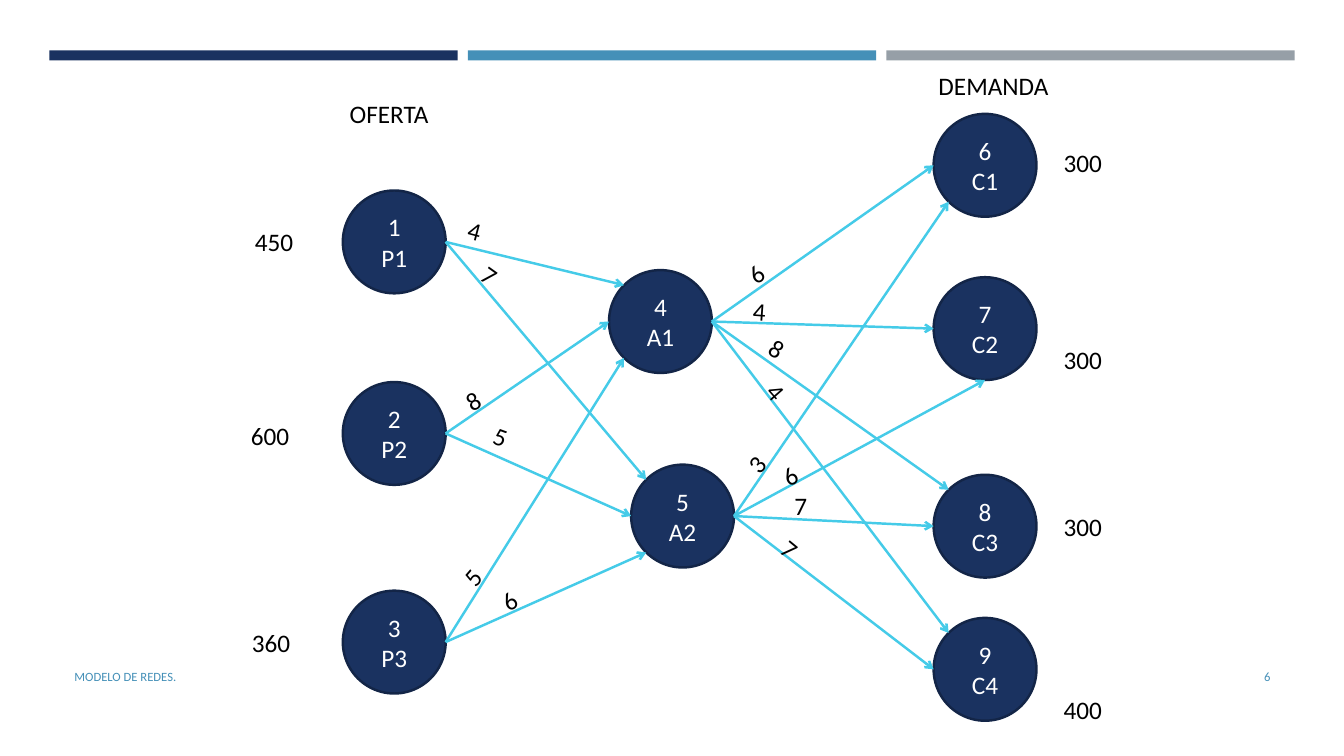
from lxml.etree import SubElement
from pptx import Presentation
from pptx.dml.color import RGBColor
from pptx.enum.shapes import MSO_CONNECTOR, MSO_SHAPE
from pptx.enum.text import MSO_ANCHOR, PP_ALIGN
from pptx.oxml.ns import qn
from pptx.util import Inches, Pt

COLORS = {
    "navy": "1A3260", "outline": "132547", "blue": "4590B8", "gray": "969FA7",
    "cyan": "45CBE8", "black": "000000", "white": "FFFFFF",
}
DIAMETER = 1.02

# Connection sites of an ellipse: index, then position as a fraction of its box
SITES = {
    "top left": (1, 0.146, 0.146),
    "left": (2, 0, 0.5),
    "bottom left": (3, 0.146, 0.854),
    "bottom": (4, 0.5, 1),
    "right": (6, 1, 0.5),
}


def format_text(shape, text, size, color, alignment=PP_ALIGN.LEFT, anchor=MSO_ANCHOR.TOP):
    frame = shape.text_frame
    frame.text = text
    frame.word_wrap = True
    frame.vertical_anchor = anchor
    for paragraph in frame.paragraphs:
        paragraph.alignment = alignment
        for run in paragraph.runs:
            run.font.size = Pt(size)
            run.font.name = "Calibri"
            run.font.color.rgb = RGBColor.from_string(COLORS[color])


presentation = Presentation()
presentation.slide_width = Inches(13.33)
presentation.slide_height = Inches(7.5)
slide = presentation.slides.add_slide(presentation.slide_layouts[6])

# Colour bars across the top
for column, color in enumerate(["navy", "blue", "gray"]):
    bar = slide.shapes.add_shape(
        MSO_SHAPE.RECTANGLE, Inches(0.49 + 4.15 * column), Inches(0.5), Inches(4.05), Inches(0.1))
    bar.shadow.inherit = False
    bar.fill.solid()
    bar.fill.fore_color.rgb = RGBColor.from_string(COLORS[color])
    bar.line.fill.background()

# Footer and page number
for text, left, width, alignment in [
    ("MODELO DE REDES.", 0.64, 7.56, PP_ALIGN.LEFT),
    ("6", 11.55, 1.15, PP_ALIGN.RIGHT),
]:
    footer = slide.shapes.add_textbox(Inches(left), Inches(6.51), Inches(width), Inches(0.4))
    format_text(footer, text, 9, "blue", alignment, MSO_ANCHOR.MIDDLE)

# Network nodes: plants, warehouses and customers
node_positions = {
    "P1": (3.4, 1.89), "P2": (3.4, 3.79), "P3": (3.4, 5.86),
    "A1": (6.04, 2.68), "A2": (6.26, 4.61),
    "C1": (9.26, 1.13), "C2": (9.26, 2.75), "C3": (9.26, 4.71), "C4": (9.26, 6.13),
}
nodes = {}
for number, (name, (left, top)) in enumerate(node_positions.items(), start=1):
    node = slide.shapes.add_shape(
        MSO_SHAPE.OVAL, Inches(left), Inches(top), Inches(DIAMETER), Inches(DIAMETER))
    node.shadow.inherit = False
    node.fill.solid()
    node.fill.fore_color.rgb = RGBColor.from_string(COLORS["navy"])
    node.line.color.rgb = RGBColor.from_string(COLORS["outline"])
    node.line.width = Pt(1.75)
    format_text(node, f"{number}\n{name}", 18, "white", PP_ALIGN.CENTER, MSO_ANCHOR.MIDDLE)
    nodes[name] = node

# Routes: origin, destination and the site where the arrow arrives
routes = [
    ("P1", "A2", "top left"), ("P1", "A1", "top left"),
    ("P2", "A1", "left"), ("P2", "A2", "left"),
    ("P3", "A1", "bottom left"), ("P3", "A2", "bottom left"),
    ("A1", "C1", "left"), ("A1", "C2", "left"),
    ("A1", "C3", "top left"), ("A1", "C4", "top left"),
    ("A2", "C1", "bottom left"), ("A2", "C2", "bottom"),
    ("A2", "C3", "left"), ("A2", "C4", "left"),
]
for origin, destination, arrival in routes:
    ends = [("a:stCxn", origin, "right"), ("a:endCxn", destination, arrival)]
    points = []
    for tag, name, site in ends:
        index, across, down = SITES[site]
        left, top = node_positions[name]
        points += [Inches(left + across * DIAMETER), Inches(top + down * DIAMETER)]
    arrow = slide.shapes.add_connector(MSO_CONNECTOR.STRAIGHT, *points)
    arrow.line.color.rgb = RGBColor.from_string(COLORS["cyan"])
    arrow.line.width = Pt(1.75)
    properties = arrow.element.spPr
    SubElement(properties.find(qn("a:ln")), qn("a:tailEnd"), type="arrow")
    SubElement(properties, qn("a:effectLst"))
    # Ellipses have eight sites, so the joins are written directly
    for tag, name, site in ends:
        SubElement(arrow.element.nvCxnSpPr.cNvCxnSpPr, qn(tag),
                   id=str(nodes[name].shape_id), idx=str(SITES[site][0]))

# Headings, supply, demand and route costs: text, left, top, width, rotation
labels = [
    ("OFERTA", 3.37, 0.93, 1.23, 0),
    ("DEMANDA", 9.21, 0.65, 1.76, 0),
    ("450", 2.43, 2.2, 0.79, 0),
    ("600", 2.39, 4.12, 0.79, 0),
    ("360", 2.4, 6.17, 0.79, 0),
    ("300", 10.45, 1.41, 0.79, 0),
    ("300", 10.45, 3.37, 0.79, 0),
    ("300", 10.45, 5.02, 0.79, 0),
    ("400", 10.45, 6.84, 0.79, 0),
    ("4", 4.54, 2.15, 0.79, 14.7),
    ("7", 4.65, 2.66, 0.79, 35.5),
    ("8", 4.52, 3.74, 0.45, 331),
    ("5", 4.79, 4.21, 0.79, 20.2),
    ("5", 4.44, 5.35, 0.79, 310.6),
    ("6", 4.85, 5.63, 0.79, 326.3),
    ("6", 7.29, 2.37, 0.79, 323),
    ("4", 7.37, 2.9, 0.79, 4.1),
    ("8", 7.51, 3.38, 0.79, 32.3),
    ("4", 7.46, 3.86, 0.79, 48.7),
    ("3", 7.26, 4.23, 0.79, 311.2),
    ("6", 7.64, 4.4, 0.79, 329.8),
    ("7", 7.78, 4.82, 0.79, 0),
    ("7", 7.62, 5.39, 0.79, 39.4),
]
for text, left, top, width, rotation in labels:
    label = slide.shapes.add_textbox(Inches(left), Inches(top), Inches(width), Inches(0.4))
    label.rotation = rotation
    format_text(label, text, 18, "black")

presentation.save("out.pptx")
